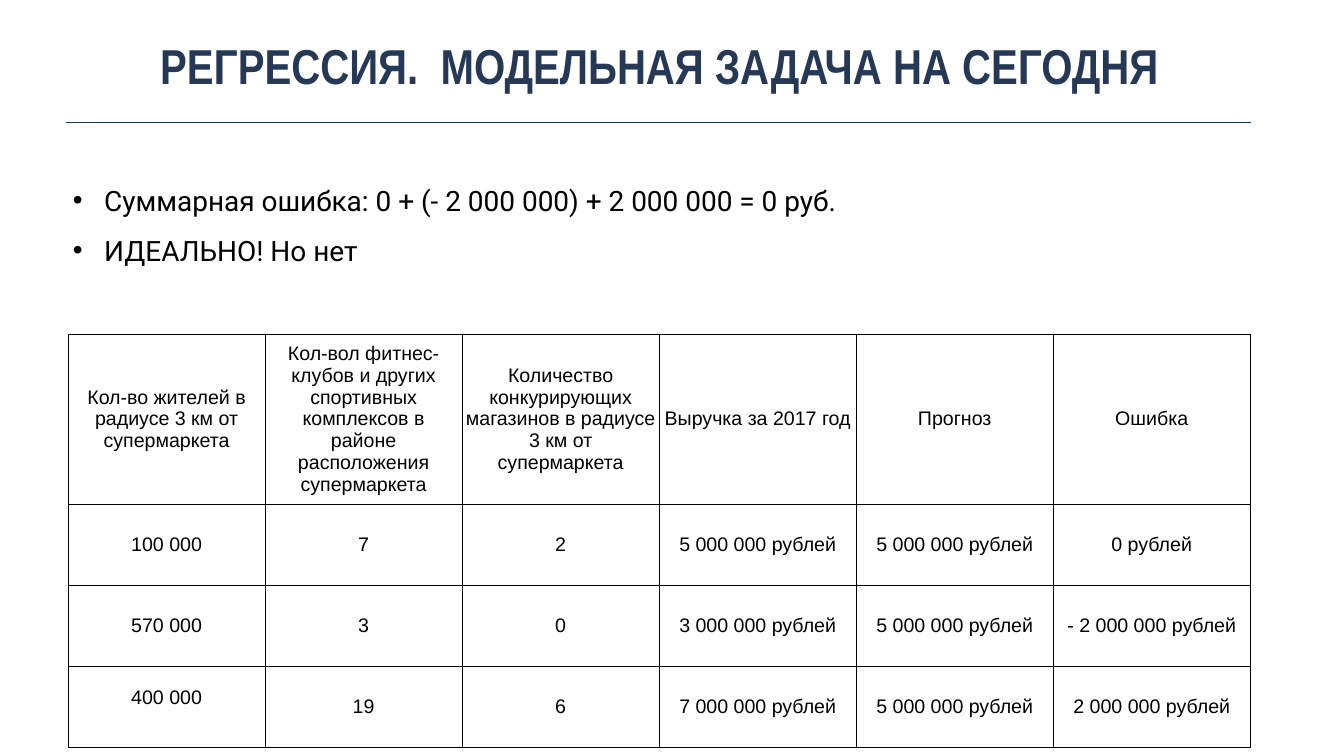
from lxml import etree
from pptx import Presentation
from pptx.dml.color import RGBColor
from pptx.enum.shapes import MSO_CONNECTOR
from pptx.enum.text import MSO_ANCHOR, PP_ALIGN
from pptx.oxml.ns import qn
from pptx.util import Inches, Pt

STRAIGHT = MSO_CONNECTOR.STRAIGHT
MIDDLE = MSO_ANCHOR.MIDDLE
CENTER = PP_ALIGN.CENTER

NAVY = "253957"
BLACK = "000000"

TITLE = "РЕГРЕССИЯ.  МОДЕЛЬНАЯ ЗАДАЧА НА СЕГОДНЯ"
CONCLUSIONS = [
    "Суммарная ошибка: 0 + (- 2 000 000) + 2 000 000 = 0 руб.",
    "ИДЕАЛЬНО! Но нет",
]
FORECASTS = [
    ("Кол-во жителей в радиусе 3 км от супермаркета",
     "Кол-вол фитнес-клубов и других спортивных комплексов в районе расположения супермаркета",
     "Количество конкурирующих магазинов в радиусе 3 км от супермаркета",
     "Выручка за 2017 год", "Прогноз", "Ошибка"),
    ("100 000", "7", "2", "5 000 000 рублей", "5 000 000 рублей", "0 рублей"),
    ("570 000", "3", "0", "3 000 000 рублей", "5 000 000 рублей", "- 2 000 000 рублей"),
    ("400 000", "19", "6", "7 000 000 рублей", "5 000 000 рублей", "2 000 000 рублей"),
]

TITLE_FONT = {"name": "Arial Narrow", "size": Pt(70), "bold": True}
CONCLUSION_FONT = {"name": "Roboto", "size": Pt(40)}
CELL_FONT = {"name": "Arial", "size": Pt(28), "bold": False}
TITLE_INSETS = dict.fromkeys(
    ("margin_left", "margin_right", "margin_top", "margin_bottom"), Inches(0.08))
CELL_FORMAT = {"vertical_anchor": MIDDLE, "margin_left": Inches(0.07),
               "margin_right": Inches(0.07)}

COLUMN_WIDTH = 3.91
HEADER_HEIGHT = 3.37
ROW_HEIGHT = 1.61
BULLET_INDENT = Inches(0.62)


def rgb(color):
    return RGBColor.from_string(color)


def apply(target, values):
    for name, value in values.items():
        setattr(target, name, value)


def write(paragraph, text, font, color):
    run = paragraph.add_run()
    run.text = text
    apply(run.font, font)
    run.font.color.rgb = rgb(color)


def add_text_frame(slide, left, top, width, height):
    box = slide.shapes.add_textbox(Inches(left), Inches(top), Inches(width), Inches(height))
    box.text_frame.word_wrap = True
    return box.text_frame


def add_bullet(paragraph):
    properties = paragraph._p.get_or_add_pPr()
    properties.set("marL", str(BULLET_INDENT))
    properties.set("indent", str(-BULLET_INDENT))
    etree.SubElement(properties, qn("a:buFont"), typeface="Arial")
    etree.SubElement(properties, qn("a:buChar"), char="•")


def add_borders(cell):
    properties = cell._tc.get_or_add_tcPr()
    for position, side in enumerate(("a:lnL", "a:lnR", "a:lnT", "a:lnB")):
        border = etree.Element(qn(side), w=str(Pt(1)))
        fill = etree.SubElement(border, qn("a:solidFill"))
        etree.SubElement(fill, qn("a:srgbClr"), val=BLACK)
        properties.insert(position, border)


def add_title(slide):
    rule = slide.shapes.add_connector(
        STRAIGHT, Inches(1.31), Inches(2.42), Inches(24.83), Inches(2.42))
    rule.line.color.rgb = rgb(NAVY)
    rule.line.width = Pt(1)
    etree.SubElement(rule._element.spPr, qn("a:effectLst"))
    frame = add_text_frame(slide, 3.1, 0.63, 22.92, 1.34)
    apply(frame, TITLE_INSETS)
    write(frame.paragraphs[0], TITLE, TITLE_FONT, NAVY)


def add_conclusions(slide):
    frame = add_text_frame(slide, 1.35, 3.25, 23.49, 2.12)
    for index, text in enumerate(CONCLUSIONS):
        paragraph = frame.add_paragraph() if index else frame.paragraphs[0]
        add_bullet(paragraph)
        paragraph.line_spacing = 1.5
        write(paragraph, text, CONCLUSION_FONT, BLACK)


def add_forecasts(slide):
    heights = [HEADER_HEIGHT] + [ROW_HEIGHT] * (len(FORECASTS) - 1)
    columns = len(FORECASTS[0])
    table = slide.shapes.add_table(
        len(FORECASTS), columns, Inches(1.35), Inches(6.63),
        Inches(COLUMN_WIDTH * columns), Inches(sum(heights))).table
    apply(table, {"first_row": False, "horz_banding": False})
    for column in table.columns:
        column.width = Inches(COLUMN_WIDTH)
    for row, height, values in zip(table.rows, heights, FORECASTS):
        row.height = Inches(height)
        for cell, value in zip(row.cells, values):
            apply(cell, CELL_FORMAT)
            cell.fill.background()
            add_borders(cell)
            paragraph = cell.text_frame.paragraphs[0]
            paragraph.alignment = CENTER
            write(paragraph, value, CELL_FONT, BLACK)
    table.cell(len(FORECASTS) - 1, 0).margin_bottom = Inches(0.41)


def main():
    deck = Presentation()
    deck.slide_width = Inches(26.67)
    deck.slide_height = Inches(15)
    slide = deck.slides.add_slide(deck.slide_layouts[6])
    add_title(slide)
    add_conclusions(slide)
    add_forecasts(slide)
    deck.save("out.pptx")


if __name__ == "__main__":
    main()
